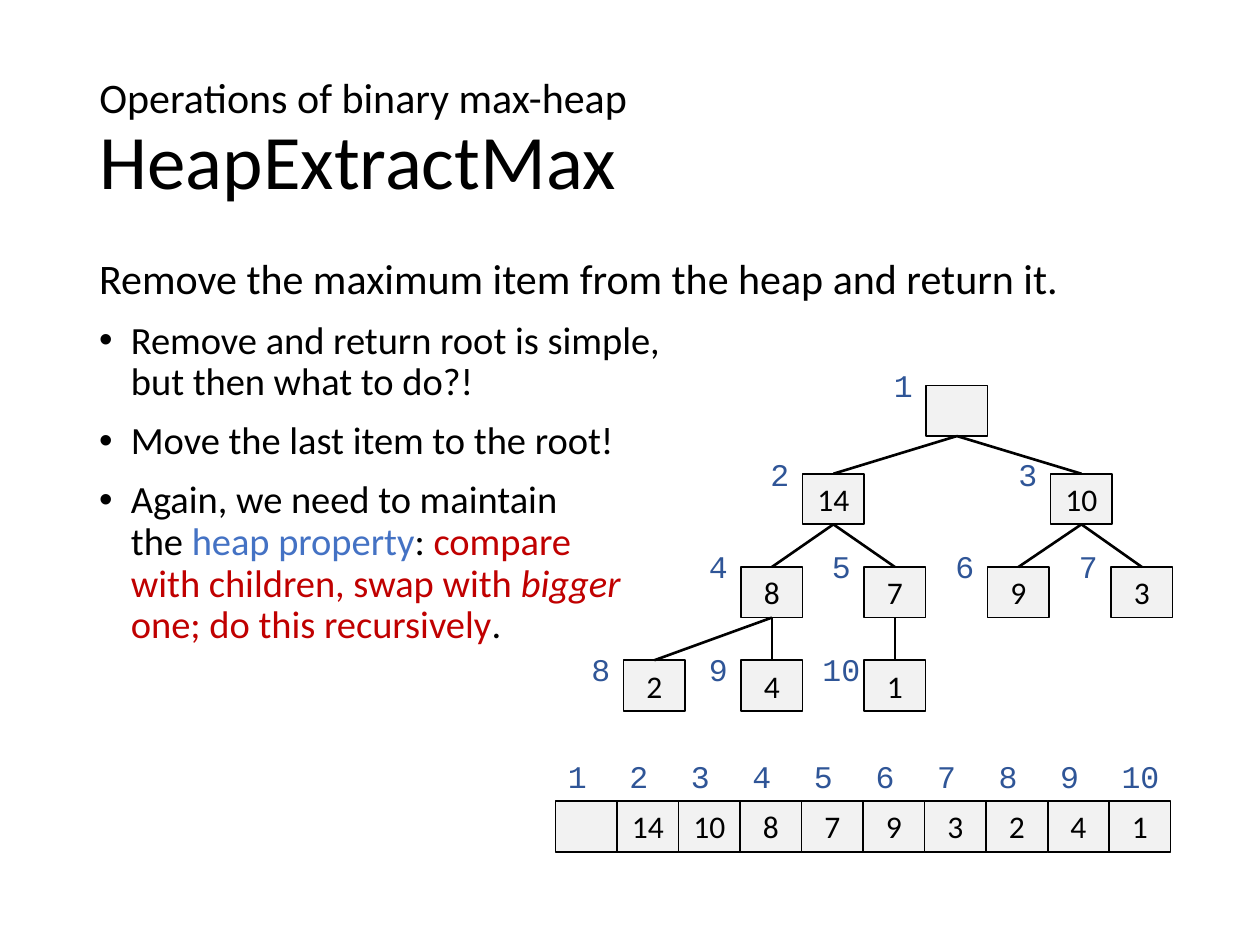
from copy import deepcopy

from lxml.etree import SubElement
from pptx import Presentation
from pptx.dml.color import RGBColor
from pptx.enum.shapes import MSO_CONNECTOR as CONNECTOR, MSO_SHAPE as SHAPE
from pptx.enum.text import MSO_ANCHOR as ANCHOR, MSO_AUTO_SIZE as AUTO_SIZE, PP_ALIGN as ALIGN
from pptx.oxml.ns import qn
from pptx.util import Cm, Pt

BLACK, BLUE, RED, NAVY, GREY = "000000", "4472C4", "C00000", "2F5597", "F2F2F2"
TITLE = [("Operations of binary max-heap\n", {"size": 24}), ("HeapExtractMax", {"size": 44})]
INTRO = [("Remove the maximum item from the heap and return it.", {"size": 24})]
BULLETS = [
    [("Remove and return root is simple,\nbut then what to do?!", {})],
    [("Move the last item to the root!", {})],
    [
        ("Again, we need to maintain\nthe ", {}),
        ("heap property", {"color": BLUE}),
        (": ", {}),
        ("compare\nwith children, swap with ", {"color": RED}),
        ("bigger \n", {"color": RED, "italic": True}),
        ("one; do this recursively", {"color": RED}),
        (".", {}),
    ],
]
HEAP = ["", "14", "10", "8", "7", "9", "3", "2", "4", "1"]
NODE_LEFTS = [18.67, 16.18, 21.18, 14.94, 17.42, 19.91, 22.4, 12.57, 14.94, 17.42]
LEVEL_TOPS = [7.77, 9.55, 11.43, 13.31]
LABEL_RISES = [0.51, 0.51, 0.53, 0.33]
CELL_WIDTH, CELL_HEIGHT = 1.24, 1.02
ARRAY_LEFT, ARRAY_TOP = 11.2, 16.15


def rgb(value):
    return RGBColor.from_string(value)


def write(paragraph, text, size=18, color=BLACK, name="Calibri", italic=None):
    for number, line in enumerate(text.split("\n")):
        if number:
            paragraph.add_line_break()
            paragraph._p[-1].append(deepcopy(run._r.rPr))
        if line:
            run = paragraph.add_run()
            run.text = line
            for key, value in {"size": Pt(size), "name": name, "italic": italic}.items():
                setattr(run.font, key, value)
            run.font.color.rgb = rgb(color)


def write_runs(paragraph, runs, size=22):
    paragraph.line_spacing = 0.9
    for text, style in runs:
        write(paragraph, text, **{"size": size, **style})


def add_bullet(paragraph):
    properties = paragraph._p.get_or_add_pPr()
    properties.set("marL", str(Cm(0.64)))
    properties.set("indent", str(Cm(-0.64)))
    SubElement(properties, qn("a:buFont"), typeface="Arial")
    SubElement(properties, qn("a:buChar"), char="•")


def add_cell(shapes, left, top, text):
    cell = shapes.add_shape(SHAPE.RECTANGLE, Cm(left), Cm(top), Cm(CELL_WIDTH), Cm(CELL_HEIGHT))
    cell.shadow.inherit = False
    cell.fill.solid()
    cell.fill.fore_color.rgb = rgb(GREY)
    cell.line.color.rgb = rgb(BLACK)
    cell.line.width = Pt(1)
    cell.text_frame.vertical_anchor = ANCHOR.MIDDLE
    paragraph = cell.text_frame.paragraphs[0]
    paragraph.alignment = ALIGN.CENTER
    write(paragraph, text)
    return cell


def add_index(shapes, left, top, index):
    width = 0.52 + 0.4 * len(str(index))
    box = shapes.add_textbox(Cm(left), Cm(top), Cm(width), Cm(CELL_HEIGHT))
    box.text_frame.word_wrap = False
    box.text_frame.auto_size = AUTO_SIZE.SHAPE_TO_FIT_TEXT
    write(box.text_frame.paragraphs[0], str(index), color=NAVY, name="Courier New")


def add_edge(shapes, parent, child):
    edge = shapes.add_connector(CONNECTOR.STRAIGHT, 0, 0, 0, 0)
    edge.begin_connect(parent, 2)
    edge.end_connect(child, 0)
    edge.line.color.rgb = rgb(BLACK)
    edge.line.width = Pt(1.5)
    SubElement(edge._element.spPr, qn("a:effectLst"))


def add_title(shapes):
    title = shapes.title
    box = {"left": 1.75, "top": 1.02, "width": 21.9, "height": 3.68}
    for key, value in box.items():
        setattr(title, key, Cm(value))
    frame = title.text_frame
    frame.auto_size = AUTO_SIZE.NONE
    frame.vertical_anchor = ANCHOR.MIDDLE
    frame.paragraphs[0].alignment = ALIGN.LEFT
    write_runs(frame.paragraphs[0], TITLE)


def add_body(shapes):
    frame = shapes.add_textbox(Cm(1.75), Cm(5.08), Cm(21.9), Cm(12.09)).text_frame
    frame.word_wrap = True
    for number, runs in enumerate([INTRO] + BULLETS):
        paragraph = frame.add_paragraph() if number else frame.paragraphs[0]
        paragraph.space_before = Pt(10)
        write_runs(paragraph, runs)
        if number:
            add_bullet(paragraph)


def add_array(shapes):
    for index, value in enumerate(HEAP, 1):
        left = ARRAY_LEFT + (index - 1) * CELL_WIDTH
        add_cell(shapes, left, ARRAY_TOP, value)
        add_index(shapes, left, ARRAY_TOP - CELL_HEIGHT, index)


def add_tree(shapes):
    nodes = {}
    for index, (value, left) in enumerate(zip(HEAP, NODE_LEFTS), 1):
        level = index.bit_length() - 1
        top = LEVEL_TOPS[level]
        nodes[index] = add_cell(shapes, left, top, value)
        shift = 0.71 + 0.19 * len(str(index))
        add_index(shapes, left - shift, top - LABEL_RISES[level], index)
        if index > 1:
            add_edge(shapes, nodes[index // 2], nodes[index])


def main():
    presentation = Presentation()
    presentation.slide_width, presentation.slide_height = Cm(25.4), Cm(19.05)
    slide = presentation.slides.add_slide(presentation.slide_layouts[5])
    for add_part in (add_title, add_body, add_array, add_tree):
        add_part(slide.shapes)
    presentation.save("out.pptx")


if __name__ == "__main__":
    main()
